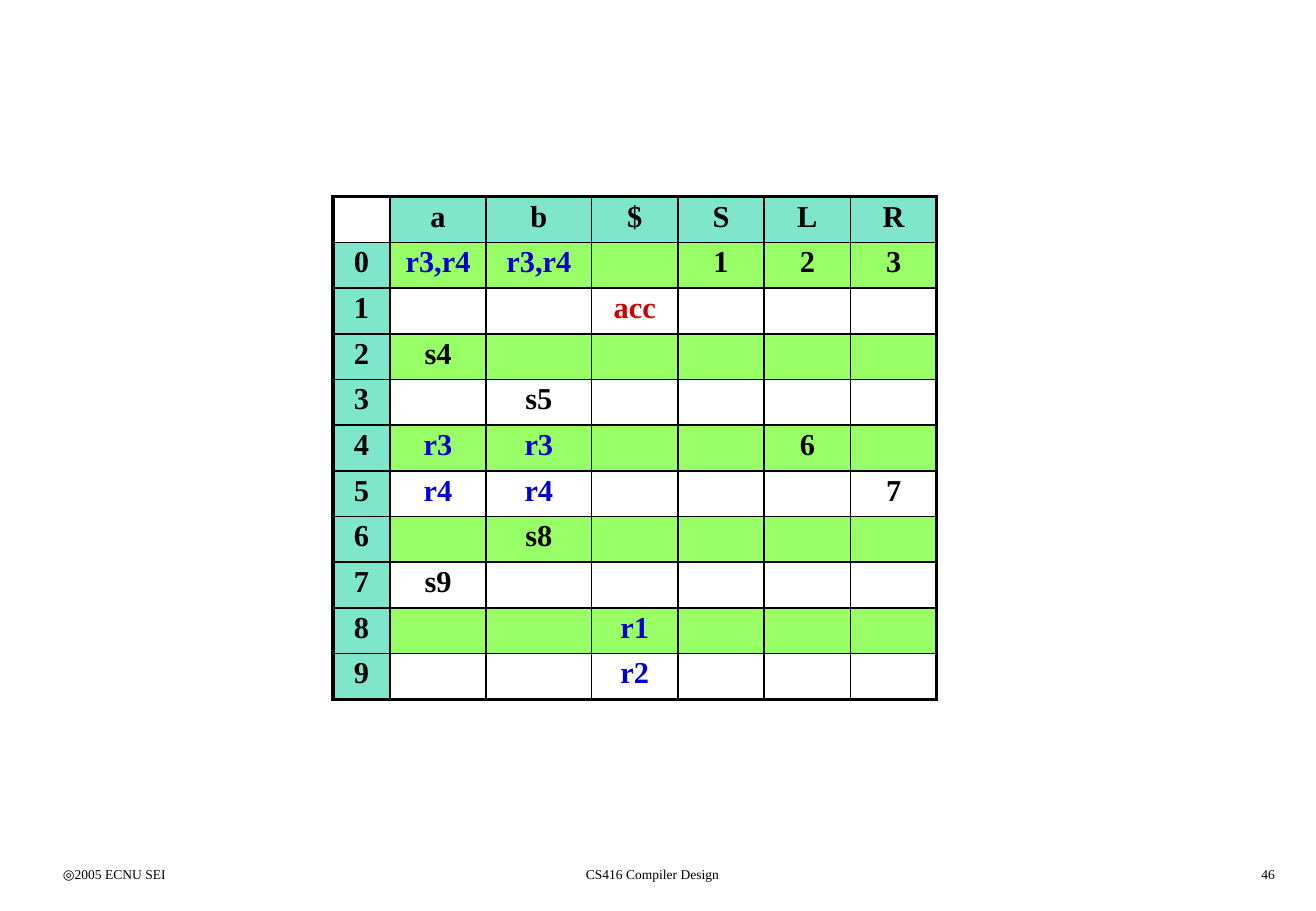
import pptx
import pptx.dml.color
import pptx.enum.text
import pptx.oxml
import pptx.oxml.ns
import pptx.util
from pptx.util import Inches

RGBColor = pptx.dml.color.RGBColor
PP_ALIGN = pptx.enum.text.PP_ALIGN

FONT = "Times New Roman"
BLACK = RGBColor(0x00, 0x00, 0x00)
BLUE = RGBColor(0x00, 0x00, 0xCC)
RED = RGBColor(0xCC, 0x00, 0x00)
TEAL = RGBColor(0x00, 0xCC, 0x99)
GREEN = RGBColor(0x99, 0xFF, 0x66)

HEADERS = ["", "a", "b", "$", "S", "L", "R"]
ACTIONS = [
    ["r3,r4", "r3,r4", "", "1", "2", "3"],
    ["", "", "acc", "", "", ""],
    ["s4", "", "", "", "", ""],
    ["", "s5", "", "", "", ""],
    ["r3", "r3", "", "", "6", ""],
    ["r4", "r4", "", "", "", "7"],
    ["", "s8", "", "", "", ""],
    ["s9", "", "", "", "", ""],
    ["", "", "r1", "", "", ""],
    ["", "", "r2", "", "", ""],
]
rows = [HEADERS] + [[str(i)] + row for i, row in enumerate(ACTIONS)]
col_widths = [0.47, 0.79, 0.87] + [0.71] * 4


def style_text(p, size, color, align, bold=False):
    p.alignment = align
    for r in p.runs:
        r.font.name = FONT
        r.font.size = pptx.util.Pt(size)
        r.font.bold = bold
        r.font.color.rgb = color


def add_border(cell, side, points):
    """Append one cell border; side is L, R, T or B, in that order, before the fill."""
    cell._tc.get_or_add_tcPr().append(pptx.oxml.parse_xml(
        f'<a:ln{side} {pptx.oxml.ns.nsdecls("a")} w="{pptx.util.Pt(points)}">'
        f'<a:solidFill><a:srgbClr val="{BLACK}"/></a:solidFill></a:ln{side}>'))


prs = pptx.Presentation()
prs.slide_width = Inches(10.83)
prs.slide_height = Inches(7.5)
s = prs.slides.add_slide(prs.slide_layouts[6])

for left, width, text, align in [
    (0.42, 2.26, "◎2005 ECNU SEI", PP_ALIGN.LEFT),
    (3.34, 4.06, "CS416 Compiler Design", PP_ALIGN.CENTER),
    (8.33, 2.26, "46", PP_ALIGN.RIGHT),
]:
    tf = s.shapes.add_textbox(Inches(left), Inches(7.08), Inches(width), Inches(0.25)).text_frame
    tf.word_wrap = True
    tf.text = text
    style_text(tf.paragraphs[0], 8, BLACK, align)

table = s.shapes.add_table(len(rows), len(HEADERS), Inches(2.74), Inches(1.62),
                           Inches(4.97), Inches(4.14)).table
table.first_row = False
table.horz_banding = False
for column, width in zip(table.columns, col_widths):
    column.width = Inches(width)

last_row, last_col = len(rows) - 1, len(HEADERS) - 1
for i, row in enumerate(rows):
    for j, text in enumerate(row):
        cell = table.cell(i, j)
        for side, outer in [("L", j == 0), ("R", j == last_col),
                            ("T", i == 0), ("B", i == last_row)]:
            add_border(cell, side, 2.25 if outer else 1)

        is_header = i == 0 or j == 0
        if is_header and text:
            cell.fill.solid()
            cell.fill.fore_color.rgb = TEAL
            color = cell._tc.tcPr.find(".//" + pptx.oxml.ns.qn("a:srgbClr") + "[@val='00CC99']")
            color.append(pptx.oxml.parse_xml(
                f'<a:alpha {pptx.oxml.ns.nsdecls("a")} val="50000"/>'))
        elif i % 2 == 1:
            cell.fill.solid()
            cell.fill.fore_color.rgb = GREEN
        else:
            cell.fill.background()

        p = cell.text_frame.paragraphs[0]
        if text:
            p.text = text
            p.line_spacing = 0.9
            reduce_action = not is_header and text.startswith("r")
            style_text(p, 18, BLUE if reduce_action else RED if text == "acc" else BLACK,
                       PP_ALIGN.CENTER, bold=True)
        else:
            p._p.get_or_add_endParaRPr().set("sz", "1200")

prs.save("out.pptx")
